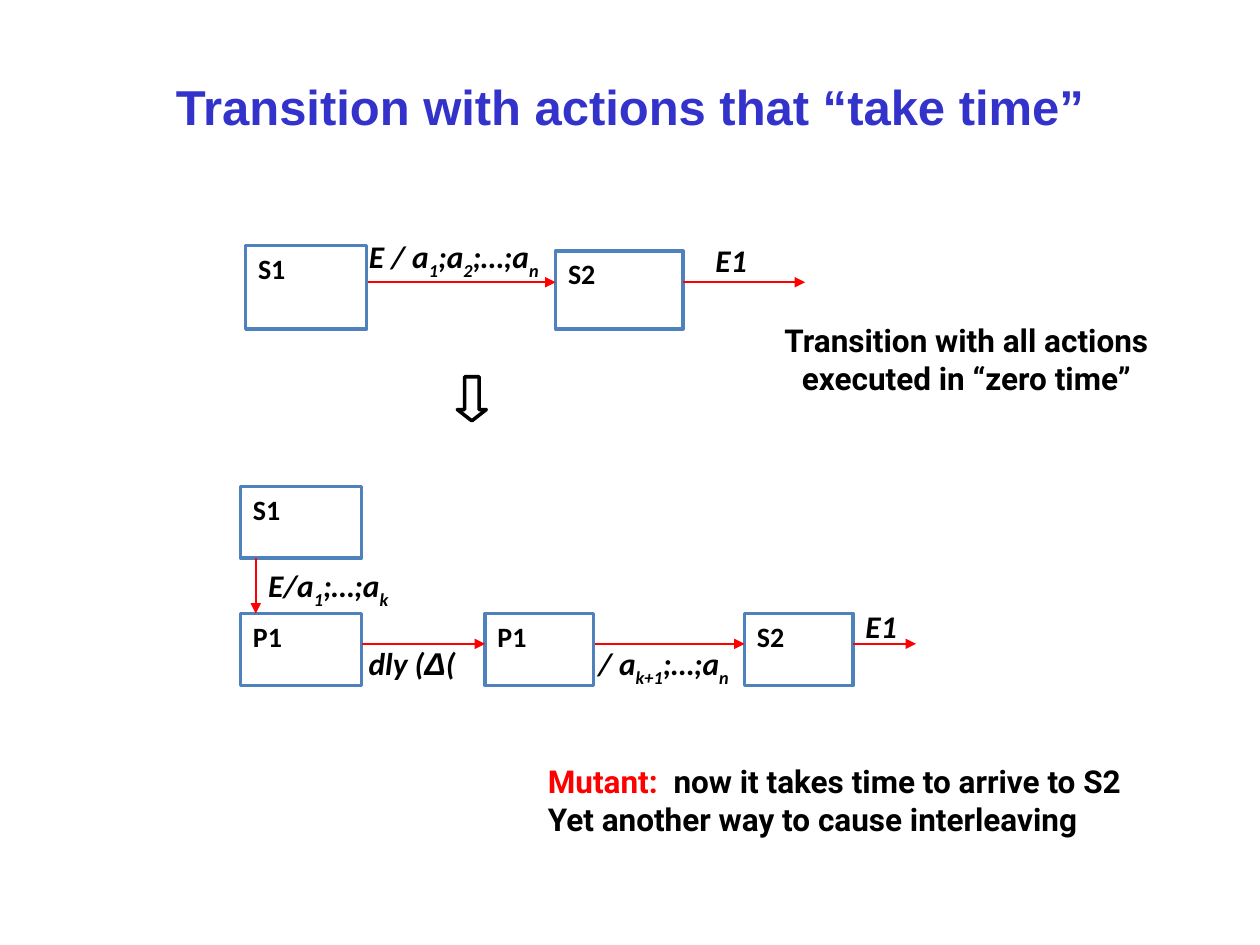
"""Build a slide on state transitions whose actions take time."""
from pptx import Presentation
from pptx.dml.color import RGBColor
from pptx.enum.shapes import MSO_CONNECTOR, MSO_SHAPE
from pptx.enum.text import MSO_ANCHOR, PP_ALIGN
from pptx.oxml.ns import qn
from pptx.util import Inches, Pt
from lxml.etree import SubElement

COLORS = {
    "title": "3333CC",
    "text": "000000",
    "paper": "FFFFFF",
    "state": "4F81BD",
    "accent": "FF0000",
}

presentation = Presentation()
presentation.slide_width = Inches(10)
presentation.slide_height = Inches(7.5)
slide = presentation.slides.add_slide(presentation.slide_layouts[6])


def add_text(paragraph, text, size, font, color="text", italic=False):
    run = paragraph.add_run()
    run.text = text
    run.font.size = Pt(size)
    run.font.name = font
    run.font.bold = True
    run.font.italic = italic
    run.font.color.rgb = RGBColor.from_string(COLORS[color])
    return run


def add_box(left, top, width, height, preset=None, line="state"):
    area = [Inches(value) for value in (left, top, width, height)]
    if preset is None:
        shape = slide.shapes.add_textbox(*area)
    else:
        shape = slide.shapes.add_shape(preset, *area)
        shape.shadow.inherit = False
        shape.fill.solid()
        shape.fill.fore_color.rgb = RGBColor.from_string(COLORS["paper"])
        shape.line.color.rgb = RGBColor.from_string(COLORS[line])
        shape.line.width = Pt(2)
    shape.text_frame.word_wrap = True
    shape.text_frame.vertical_anchor = MSO_ANCHOR.TOP
    shape.text_frame.paragraphs[0].alignment = PP_ALIGN.LEFT
    return shape


title = add_box(0.75, 0.42, 8.5, 1.25)
title.text_frame.margin_top = Inches(0.19)
title_paragraph = title.text_frame.paragraphs[0]
title_paragraph.alignment = PP_ALIGN.CENTER
add_text(title_paragraph, "Transition with actions that “take time”", 28, "Arial", "title")

states = [
    ("S1", 1.95, 1.95, 0.96, 0.66),
    ("S2", 4.41, 1.99, 1.01, 0.62),
    ("S1", 1.91, 3.86, 0.96, 0.57),
    ("P1", 1.91, 4.87, 0.96, 0.57),
    ("P1", 3.85, 4.87, 0.86, 0.57),
    ("S2", 5.91, 4.87, 0.86, 0.57),
]
for name, *area in states:
    state = add_box(*area, MSO_SHAPE.RECTANGLE)
    add_text(state.text_frame.paragraphs[0], name, 16, "Calibri")

transitions = [
    (2.92, 2.24, 4.41, 2.24),
    (5.42, 2.24, 6.39, 2.24),
    (2.03, 4.43, 2.03, 4.87),
    (2.87, 5.11, 3.85, 5.11),
    (4.72, 5.11, 5.91, 5.11),
    (6.77, 5.11, 7.27, 5.11),
]
for ends in transitions:
    arrow = slide.shapes.add_connector(
        MSO_CONNECTOR.STRAIGHT, *[Inches(value) for value in ends]
    )
    arrow.line.color.rgb = RGBColor.from_string(COLORS["accent"])
    arrow.line.width = Pt(1)
    SubElement(arrow.line._get_or_add_ln(), qn("a:tailEnd"), type="triangle")
    SubElement(arrow._element.spPr, qn("a:effectLst"))

becomes = add_box(3.63, 2.99, 0.23, 0.35, MSO_SHAPE.DOWN_ARROW, "text")
becomes.adjustments[0] = 0.5
becomes.adjustments[1] = 0.39

labels = [
    ("E / a_1_;a_2_;…;a_n", 2.83, 1.83, 1.67, 0.62),
    ("E1", 5.58, 1.86, 0.72, 0.62),
    ("E/a_1_;…;a_k", 2.03, 4.44, 1.39, 0.43),
    (" dly (_Δ_(", 2.77, 5.06, 1.12, 0.37),
    ("/ a_k+1_;…;a_n", 4.65, 5.06, 1.32, 0.49),
    ("E1", 6.77, 4.77, 0.72, 0.62),
]
for text, *area in labels:
    label = add_box(*area)
    for index, part in enumerate(text.split("_")):
        font = "Arial" if part == "Δ" else "Calibri"
        run = add_text(label.text_frame.paragraphs[0], part, 18, font, italic=True)
        if index % 2 and part != "Δ":
            run._r.get_or_add_rPr().set("baseline", "-30000")

zero_time = add_box(5.92, 2.5, 3.5, 0.75).text_frame.paragraphs[0]
zero_time.alignment = PP_ALIGN.CENTER
add_text(zero_time, "Transition with all actions executed in “zero time”", 18, "Roboto")

mutant = add_box(4.25, 6, 5.33, 0.75).text_frame
add_text(mutant.paragraphs[0], "Mutant:  ", 18, "Roboto", "accent")
add_text(mutant.paragraphs[0], "now it takes time to arrive to S2", 18, "Roboto")
add_text(mutant.add_paragraph(), "Yet another way to cause interleaving", 18, "Roboto")

presentation.save("out.pptx")
